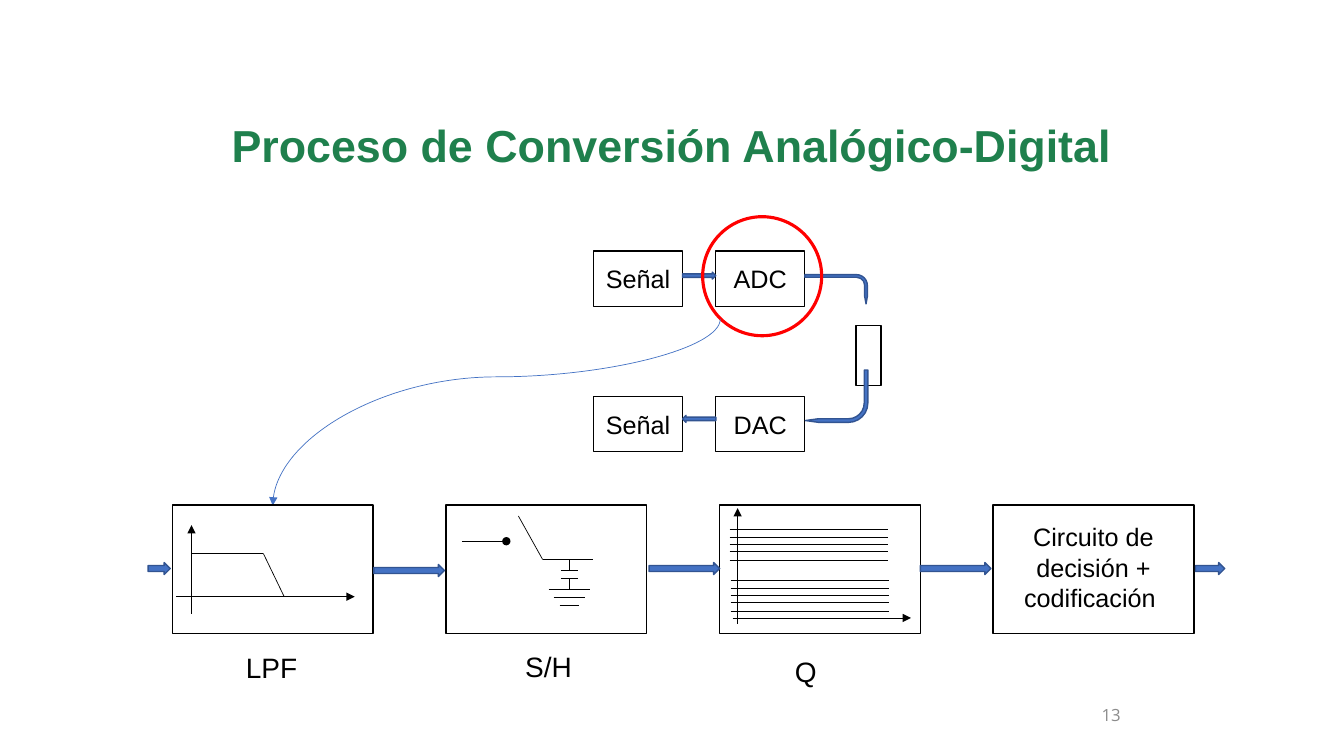
from lxml import etree
from pptx import Presentation
from pptx import util as u
from pptx.dml.color import RGBColor
from pptx.enum import shapes, text
from pptx.oxml.ns import qn

COLORS = {
    "ink": "000000",
    "title": "1F804D",
    "number": "8C8C8C",
    "arrow": "4472C4",
    "arrow_edge": "325491",
    "highlight": "FF0000",
}
SHAPE = shapes.MSO_SHAPE
CENTER = text.PP_ALIGN.CENTER
STAGE_SIZE = (143.5, 91.7)
STAGE_PITCH = 195.4


def color(name):
    """Return the named colour."""
    return RGBColor.from_string(COLORS[name])


def write(shape, words, size, ink="ink", font="Arial", bold=False, align=None,
          anchor=text.MSO_ANCHOR.TOP, wrap=True):
    """Write one run of formatted text into a shape."""
    frame = shape.text_frame
    frame.word_wrap = wrap
    frame.vertical_anchor = anchor
    paragraph = frame.paragraphs[0]
    paragraph.alignment = align
    run = paragraph.add_run()
    run.text = words
    run.font.name = font
    run.font.size = u.Pt(size)
    run.font.bold = bold
    run.font.color.rgb = color(ink)


def add_text(slide, box, words, size, **style):
    """Add a text box at the given box."""
    write(slide.shapes.add_textbox(*map(u.Pt, box)), words, size, **style)


def add_shape(slide, kind, box, line="ink", width=1, fill=None, rotation=0):
    """Add a flat preset shape, unfilled unless a fill is named."""
    shape = slide.shapes.add_shape(kind, *map(u.Pt, box))
    shape.shadow.inherit = False
    shape.rotation = rotation
    shape.line.color.rgb = color(line)
    shape.line.width = u.Pt(width)
    if fill:
        shape.fill.solid()
        shape.fill.fore_color.rgb = color(fill)
    else:
        shape.fill.background()
    return shape


def add_arrow(slide, box, kind=SHAPE.RIGHT_ARROW, rotation=0, adjustments=()):
    """Add a blue block arrow."""
    arrow = add_shape(slide, kind, box, "arrow_edge", 1, "arrow", rotation)
    for index, value in enumerate(adjustments):
        arrow.adjustments[index] = value


def add_line(slide, origin, start, end, tip=None, ink="ink",
             kind=shapes.MSO_CONNECTOR.STRAIGHT):
    """Add a thin line whose ends are measured from the origin."""
    left, top = origin
    points = (left + start[0], top + start[1], left + end[0], top + end[1])
    connector = slide.shapes.add_connector(kind, *map(u.Pt, points))
    connector.line.color.rgb = color(ink)
    connector.line.width = u.Pt(0.5)
    if tip:
        etree.SubElement(connector.line._get_or_add_ln(), qn("a:tailEnd"), type=tip)
    etree.SubElement(connector._element.spPr, qn("a:effectLst"))
    return connector


def add_signal_loop(slide, left, top):
    """Draw the signal, converter and channel loop."""
    width, height, column, row = 63.5, 39.6, 87.2, 103.7
    for index, words in enumerate(("Señal", "ADC", "Señal", "DAC")):
        box = (left + index % 2 * column, top + index // 2 * row, width, height)
        write(add_shape(slide, SHAPE.RECTANGLE, box), words, 18, align=CENTER,
              anchor=text.MSO_ANCHOR.MIDDLE, wrap=False)
    add_shape(slide, SHAPE.RECTANGLE, (left + 187.3, top + 53.4, 18, 42.5))
    add_arrow(slide, (left + 162.7, top + 5, 20.9, 44.6), SHAPE.BENT_ARROW, 90,
              (0.25, 0.046, 0.25, 0.37))
    add_arrow(slide, (left + 151.2, top + 85, 44.6, 37.4), SHAPE.BENT_ARROW, 180,
              (0.25, 0.035, 0.25, 0.37))
    for offset, rotation in ((15.1, 0), (117.4, 180)):
        add_arrow(slide, (left + 63.4, top + offset, 23.8, 5), rotation=rotation)
    add_shape(slide, SHAPE.OVAL, (left + 77.8, top - 24.5, 85, 85), "highlight", 2.25)


def add_callout_curve(slide, left, top, width, height):
    """Draw the curve from the top right to the bottom left of its box."""
    middle = (left + width / 2, top + height / 2)
    curve = add_line(slide, middle, (-height / 2, -width / 2), (height / 2, width / 2),
                     "triangle", "arrow", shapes.MSO_CONNECTOR.CURVE)
    properties = curve._element.spPr
    properties.find(qn("a:xfrm")).set("rot", "5400000")
    guides = properties.find(qn("a:prstGeom")).find(qn("a:avLst"))
    etree.SubElement(guides, qn("a:gd"), name="adj1", fmla="val 31000")


def add_stage(slide, left, top):
    """Draw the frame of one stage."""
    return add_shape(slide, SHAPE.RECTANGLE, (left, top, *STAGE_SIZE))


def add_filter(slide, left, top):
    """Draw the low-pass filter stage."""
    add_stage(slide, left, top)
    for start, end, tip in (
        ((13.7, 77.8), (13.7, 14.4), "triangle"),
        ((2.9, 65.5), (130.3, 65.5), "triangle"),
        ((13.7, 34.6), (65, 34.6), None),
        ((65, 34.6), (79.9, 65.5), None),
    ):
        add_line(slide, (left, top), start, end, tip)
    add_text(slide, (left + 45.4, top + 100.1, 51.8, 31.7), "LPF", 20, wrap=False)


def add_sampler(slide, left, top):
    """Draw the sample and hold stage."""
    add_stage(slide, left, top)
    origin = (left, top)
    add_line(slide, origin, (11.5, 25.9), (43.2, 25.9), "oval")
    add_line(slide, origin, (51.8, 7.9), (69.1, 38.9))
    add_line(slide, origin, (69.1, 38.9), (105.1, 38.9))
    axis = 88.2
    for start, end in ((38.9, 46.8), (52.6, 60.5)):
        add_line(slide, origin, (axis, start), (axis, end))
    for height, half in ((46.8, 6), (52.6, 6), (60.5, 14.8), (66.2, 11.2), (72, 6.9)):
        add_line(slide, origin, (axis - half, height), (axis + half, height))
    add_text(slide, (left + 49.6, top + 99.4, 48.2, 31.7), "S/H", 20, wrap=False)


def add_quantizer(slide, left, top):
    """Draw the quantizer stage with its two groups of levels."""
    add_stage(slide, left, top)
    origin = (left, top)
    add_line(slide, origin, (13, 85), (13, 2.2), "triangle")
    add_line(slide, origin, (9.4, 80.7), (136.8, 80.7), "triangle")
    for start, first in ((7.3, 17.3), (8, 54)):
        for step in (0, 5.7, 10.8, 15.8, 22.3):
            add_line(slide, origin, (start, first + step), (start + 113, first + step))
    add_text(slide, (left + 46.8, top + 103, 30.2, 31.7), "Q", 20, wrap=False)


def add_coder(slide, left, top):
    """Draw the decision and coding stage."""
    stage = add_stage(slide, left, top)
    stage.text_frame.margin_bottom = u.Pt(6.6)
    write(stage, "Circuito de decisión + codificación ", 18, align=CENTER,
          anchor=text.MSO_ANCHOR.MIDDLE)


def add_pipeline(slide, left, top):
    """Draw the four stages and the arrows that join them."""
    stages = (add_filter, add_sampler, add_quantizer, add_coder)
    for index, draw in enumerate(stages):
        draw(slide, left + index * STAGE_PITCH, top)
    for offset, drop, width in ((-17.3, 41.1, 15.8), (144, 42.5, 50.4), (340.6, 41.1, 50.4),
                                (534.3, 41.1, 50.4), (730.8, 41.1, 20.9)):
        add_arrow(slide, (left + offset, top + drop, width, 8.6))


def main():
    """Build and save the slide."""
    presentation = Presentation()
    presentation.slide_width, presentation.slide_height = u.Pt(960), u.Pt(540)
    slide = presentation.slides.add_slide(presentation.slide_layouts[6])
    add_text(slide, (157.7, 80.6, 644.4, 46.1), "Proceso de Conversión Analógico-Digital", 32,
             ink="title", bold=True, align=CENTER)
    add_signal_loop(slide, 424.1, 179.3)
    add_callout_curve(slide, 194.8, 227.9, 319.7, 133.2)
    add_pipeline(slide, 123.1, 360.7)
    add_text(slide, (779.8, 496.1, 103.7, 28.8), "13", 12, ink="number", font="Open Sans",
             anchor=text.MSO_ANCHOR.MIDDLE)
    presentation.save("out.pptx")


if __name__ == "__main__":
    main()
